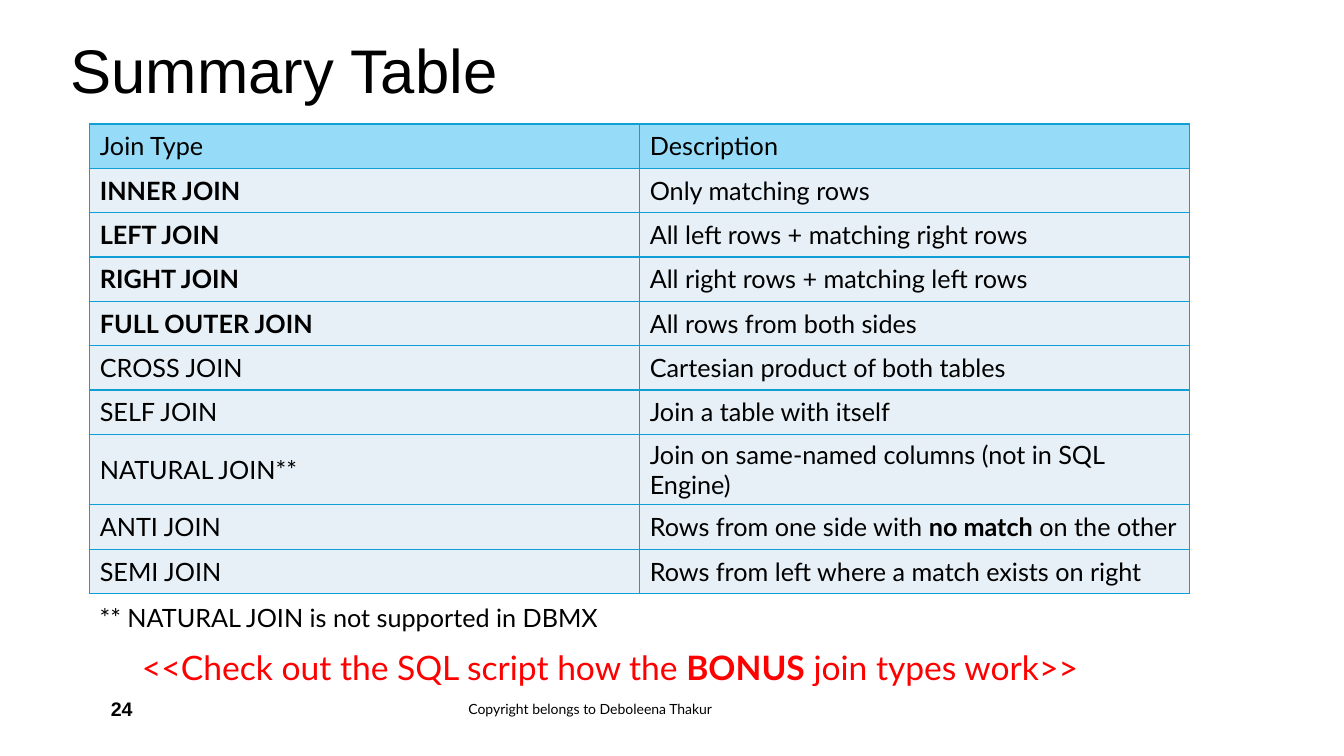
from lxml.etree import SubElement
from pptx import Presentation
from pptx.dml.color import RGBColor
from pptx.enum.text import MSO_ANCHOR as Anchor, PP_ALIGN as Align
from pptx.oxml.ns import qn
from pptx.util import Inches, Pt

COLORS = {
    "text": "000000",
    "alert": "FF0000",
    "header": "96DCF8",
    "body": "E7F0F7",
    "border": "0F9ED5",
}
ROW_HEIGHT, TALL_ROW_HEIGHT = 0.44, 0.7

# Each cell is a list of (text, bold) spans
JOIN_ROWS = [
    ([("Join Type", False)], [("Description", False)]),
    ([("INNER JOIN", True)], [("Only matching rows", False)]),
    ([("LEFT JOIN", True)], [("All left rows + matching right rows", False)]),
    ([("RIGHT JOIN", True)], [("All right rows + matching left rows", False)]),
    ([("FULL OUTER JOIN", True)], [("All rows from both sides", False)]),
    ([("CROSS JOIN", False)], [("Cartesian product of both tables", False)]),
    ([("SELF JOIN", False)], [("Join a table with itself", False)]),
    ([("NATURAL JOIN**", False)],
     [("Join on same-named columns (not in SQL Engine)", False)]),
    ([("ANTI JOIN", False)],
     [("Rows from one side with ", False), ("no match", True), (" on the other", False)]),
    ([("SEMI JOIN", False)], [("Rows from left where a match exists on right", False)]),
]
TALL_ROW = 7


def color(name):
    return RGBColor.from_string(COLORS[name])


def write_spans(para, spans, size, font="Lato", tint="text"):
    for text, bold in spans:
        span = para.add_run()
        span.text = text
        span.font.name = font
        span.font.size = Pt(size)
        span.font.bold = bold
        span.font.color.rgb = color(tint)


def add_title(page, left, top, width, height):
    title = page.shapes.title
    title.left, title.top = Inches(left), Inches(top)
    title.width, title.height = Inches(width), Inches(height)
    title.text_frame.vertical_anchor = Anchor.MIDDLE
    para = title.text_frame.paragraphs[0]
    para.alignment = Align.LEFT
    para.line_spacing = 0.9
    write_spans(para, [("Summary Table", False)], 44, "Arial")


def add_text(page, left, top, width, height, spans, size, font="Lato",
             tint="text", align=Align.LEFT, anchor=Anchor.TOP):
    box = page.shapes.add_textbox(Inches(left), Inches(top), Inches(width), Inches(height))
    frame = box.text_frame
    frame.word_wrap = True
    frame.vertical_anchor = anchor
    para = frame.paragraphs[0]
    para.alignment = align
    write_spans(para, spans, size, font, tint)


def draw_borders(cell):
    properties = cell._tc.get_or_add_tcPr()
    for side in ("a:lnL", "a:lnR", "a:lnT", "a:lnB"):
        line = SubElement(properties, qn(side), w=str(Pt(1)))
        fill = SubElement(line, qn("a:solidFill"))
        SubElement(fill, qn("a:srgbClr"), val=COLORS["border"])


def add_join_table(page, left, top, width):
    height = ROW_HEIGHT * (len(JOIN_ROWS) - 1) + TALL_ROW_HEIGHT
    table = page.shapes.add_table(len(JOIN_ROWS), 2, Inches(left), Inches(top),
                                  Inches(width), Inches(height)).table
    for column in table.columns:
        column.width = Inches(width / 2)
    for row_index, row in enumerate(JOIN_ROWS):
        row_height = TALL_ROW_HEIGHT if row_index == TALL_ROW else ROW_HEIGHT
        table.rows[row_index].height = Inches(row_height)
        for column_index, spans in enumerate(row):
            cell = table.cell(row_index, column_index)
            draw_borders(cell)
            cell.fill.solid()
            cell.fill.fore_color.rgb = color("body" if row_index else "header")
            cell.vertical_anchor = Anchor.MIDDLE
            write_spans(cell.text_frame.paragraphs[0], spans, 18)


def add_notes_below(page, left, top, width):
    add_text(page, left + 0.59, top, width, 0.4,
             [("** NATURAL JOIN is not supported in DBMX", False)], 18)
    add_text(page, left, top + 0.44, width, 0.5,
             [("<<Check out the SQL script how the ", False), ("BONUS", True),
              (" join types work>>", False)], 24, tint="alert", align=Align.CENTER)


def add_footer(page, left, top, height):
    add_text(page, left, top, 2.92, height, [("24", True)], 14, "Arial",
             anchor=Anchor.MIDDLE)
    add_text(page, left + 3.16, top, 3, height,
             [("Copyright belongs to Deboleena Thakur", False)], 10,
             align=Align.RIGHT, anchor=Anchor.MIDDLE)


def main():
    deck = Presentation()
    deck.slide_width, deck.slide_height = Inches(13.33), Inches(7.5)
    page = deck.slides.add_slide(deck.slide_layouts[5])
    add_title(page, 0.6, 0, 11.5, 1.45)
    add_join_table(page, 0.89, 1.23, 10.91)
    add_notes_below(page, 0.3, 5.93, 11.5)
    add_footer(page, 1, 6.83, 0.4)
    deck.save("out.pptx")


if __name__ == "__main__":
    main()
